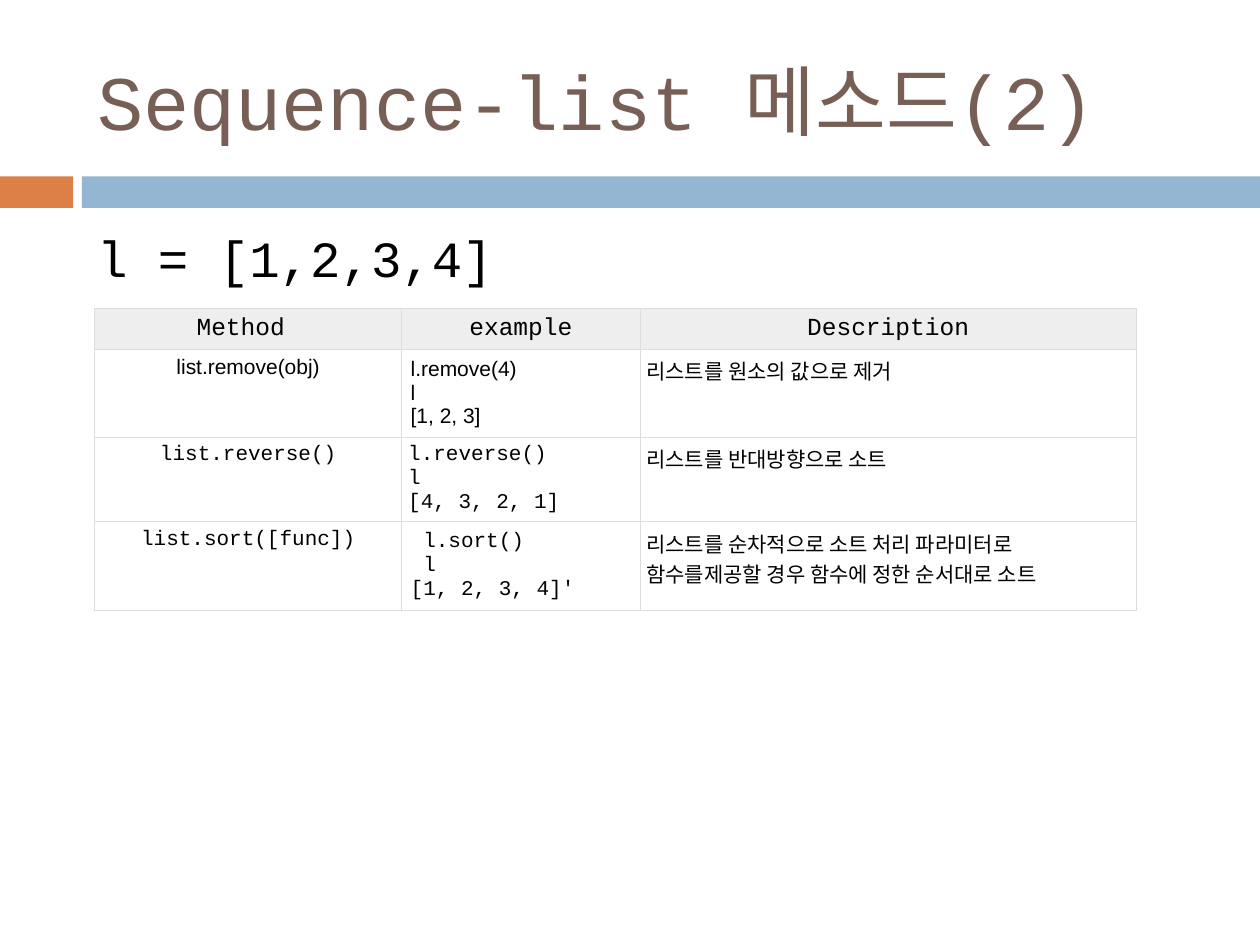
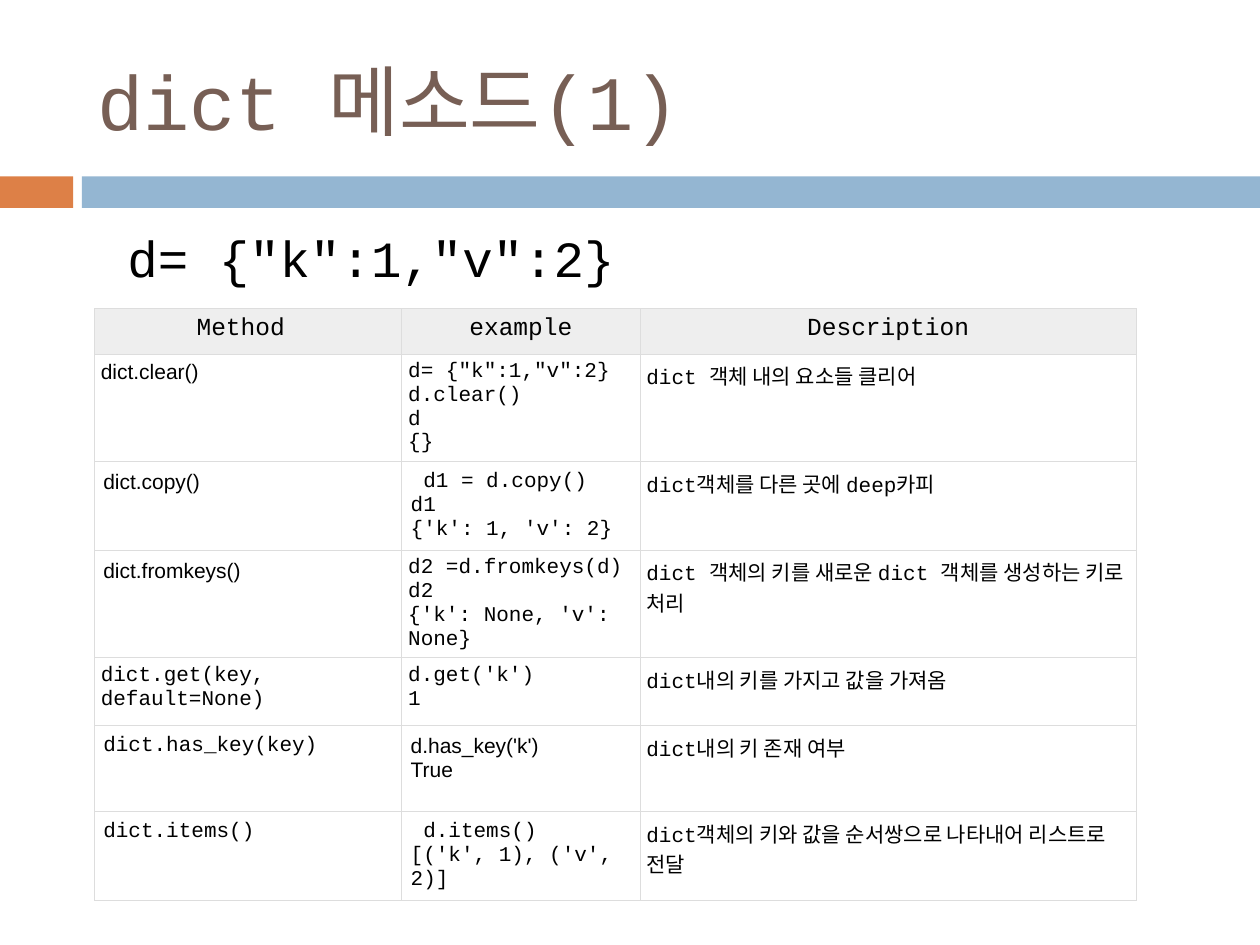
from dataclasses import dataclass

from lxml.etree import SubElement
from pptx import Presentation
from pptx.dml.color import RGBColor
from pptx.enum.shapes import MSO_SHAPE
from pptx.enum.text import MSO_ANCHOR, MSO_AUTO_SIZE, PP_ALIGN
from pptx.oxml.ns import qn
from pptx.slide import Slide
from pptx.table import _Cell
from pptx.text.text import TextFrame, _Paragraph
from pptx.util import Inches, Pt

COLORS = {
    "title": "775F55",
    "text": "000000",
    "orange": "DD8047",
    "blue": "94B6D2",
    "header": "EEEEEE",
    "border": "DDDDDD",
}
MONO, SANS = "Courier New", "Arial"
TIGHT, LOOSE = 0.05, 0.07
COL_WIDTHS = (2.44, 1.89, 3.94)
HEADINGS = ("Method ", "example", "Description")


@dataclass(frozen=True)
class Band:
    left: float
    width: float
    color: str


@dataclass(frozen=True)
class Entry:
    text: str
    font: str = MONO
    inset: float = TIGHT
    size: int = 12
    centered: bool = False


@dataclass(frozen=True)
class MethodRow:
    height: float
    method: Entry
    example: Entry
    description: str


@dataclass(frozen=True)
class MethodSlide:
    title: str
    code: str
    header_height: float
    rows: tuple[MethodRow, ...]


BANDS = (Band(0, 0.58, "orange"), Band(0.65, 9.35, "blue"))

SLIDES = (
    MethodSlide("Sequence-list 메소드(2)", "l = [1,2,3,4]", 0.32, (
        MethodRow(0.7, Entry("list.remove(obj)", SANS, centered=True),
                  Entry("l.remove(4)\nl\n[1, 2, 3]", SANS, LOOSE),
                  "리스트를 원소의 값으로 제거"),
        MethodRow(0.67, Entry("list.reverse()", centered=True),
                  Entry("l.reverse()\nl\n[4, 3, 2, 1]"),
                  "리스트를 반대방향으로 소트"),
        MethodRow(0.7, Entry("list.sort([func])", centered=True),
                  Entry(" l.sort()\n l\n[1, 2, 3, 4]'", inset=LOOSE),
                  "리스트를 순차적으로 소트 처리 파라미터로 함수를제공할 경우 함수에 정한 순서대로 소트"),
    )),
    MethodSlide("dict 메소드(1)", ' d= {"k":1,"v":2}', 0.36, (
        MethodRow(0.85, Entry("dict.clear()", SANS),
                  Entry('d= {"k":1,"v":2}\nd.clear()\nd\n{}'),
                  "dict 객체 내의 요소들 클리어"),
        MethodRow(0.7, Entry("dict.copy()", SANS, LOOSE),
                  Entry(" d1 = d.copy()\nd1\n{'k': 1, 'v': 2}", inset=LOOSE),
                  "dict객체를 다른 곳에 deep카피"),
        MethodRow(0.85, Entry("dict.fromkeys()", SANS, LOOSE),
                  Entry("d2 =d.fromkeys(d)\nd2\n{'k': None, 'v': None}"),
                  "dict 객체의 키를 새로운 dict 객체를 생성하는 키로 처리"),
        MethodRow(0.54, Entry("dict.get(key, default=None)"),
                  Entry("d.get('k')\n1"),
                  "dict내의 키를 가지고 값을 가져옴"),
        MethodRow(0.68, Entry("dict.has_key(key)", inset=LOOSE),
                  Entry("d.has_key('k')\nTrue", SANS, LOOSE),
                  "dict내의 키 존재 여부"),
        MethodRow(0.7, Entry("dict.items()", inset=LOOSE),
                  Entry(" d.items()\n[('k', 1), ('v', 2)]", inset=LOOSE),
                  "dict객체의 키와 값을 순서쌍으로 나타내어 리스트로 전달"),
    )),
)


def rgb(name: str) -> RGBColor:
    """Return a palette colour."""
    return RGBColor.from_string(COLORS[name])


def add_run(p: _Paragraph, text: str, size: int, font: str = MONO, color: str = "text") -> None:
    """Add one formatted run to a paragraph."""
    r = p.add_run()
    r.text = text
    r.font.size = Pt(size)
    r.font.name = font
    r.font.bold = False
    r.font.color.rgb = rgb(color)


def place_text(s: Slide, index: int, top: float, height: float, anchor: MSO_ANCHOR) -> TextFrame:
    """Move a placeholder and return its prepared text frame."""
    sp = s.placeholders[index]
    sp.left, sp.top = Inches(0.67), Inches(top)
    sp.width, sp.height = Inches(8.92), Inches(height)
    tf = sp.text_frame
    tf.word_wrap = True
    tf.auto_size = MSO_AUTO_SIZE.NONE
    tf.vertical_anchor = anchor
    tf.paragraphs[0].alignment = PP_ALIGN.LEFT
    return tf


def add_bands(s: Slide) -> None:
    """Draw the coloured strip below the title."""
    for band in BANDS:
        sp = s.shapes.add_shape(MSO_SHAPE.RECTANGLE, Inches(band.left), Inches(1.4),
                                Inches(band.width), Inches(0.25))
        sp.shadow.inherit = False
        sp.fill.solid()
        sp.fill.fore_color.rgb = rgb(band.color)
        sp.line.fill.background()


def add_heading(s: Slide, title: str, code: str) -> None:
    """Fill the title and the unbulleted code line."""
    tf = place_text(s, 0, 0.25, 1.08, MSO_ANCHOR.MIDDLE)
    add_run(tf.paragraphs[0], title, 44, color="title")
    p = place_text(s, 1, 1.75, 1.13, MSO_ANCHOR.TOP).paragraphs[0]
    p.space_before = Pt(0)
    pPr = p._p.get_or_add_pPr()
    pPr.set("marL", "0")
    pPr.set("indent", "0")
    SubElement(pPr, qn("a:buNone"))
    add_run(p, code, 29)


def add_borders(cell: _Cell) -> None:
    """Put a thin grey line on all four sides of a cell."""
    tcPr = cell._tc.get_or_add_tcPr()
    for i, side in enumerate(("lnL", "lnR", "lnT", "lnB")):
        ln = SubElement(tcPr, qn(f"a:{side}"), w=str(Pt(0.6)))
        fill = SubElement(ln, qn("a:solidFill"))
        SubElement(fill, qn("a:srgbClr"), val=COLORS["border"])
        tcPr.remove(ln)
        tcPr.insert(i, ln)


def fill_cell(cell: _Cell, entry: Entry, header: bool) -> None:
    """Write and format one table cell."""
    inset = Inches(entry.inset)
    cell.margin_left = cell.margin_right = inset
    cell.margin_top = cell.margin_bottom = inset
    cell.vertical_anchor = MSO_ANCHOR.TOP
    if header:
        cell.fill.solid()
        cell.fill.fore_color.rgb = rgb("header")
    else:
        cell.fill.background()
    add_borders(cell)
    tf = cell.text_frame
    for i, line in enumerate(entry.text.split("\n")):
        p = tf.add_paragraph() if i else tf.paragraphs[0]
        p.alignment = PP_ALIGN.CENTER if entry.centered else PP_ALIGN.LEFT
        add_run(p, line, entry.size, entry.font)


def add_methods(s: Slide, content: MethodSlide) -> None:
    """Add the table of methods."""
    heights = [content.header_height] + [row.height for row in content.rows]
    lines = [[Entry(text, size=14, centered=True) for text in HEADINGS]]
    lines += [[row.method, row.example, Entry(row.description)] for row in content.rows]
    table = s.shapes.add_table(len(lines), len(COL_WIDTHS), Inches(0.75), Inches(2.45),
                               Inches(sum(COL_WIDTHS)), Inches(sum(heights))).table
    table.first_row = table.horz_banding = False
    for column, width in zip(table.columns, COL_WIDTHS):
        column.width = Inches(width)
    for i, (height, entries) in enumerate(zip(heights, lines)):
        table.rows[i].height = Inches(height)
        for j, entry in enumerate(entries):
            fill_cell(table.cell(i, j), entry, header=i == 0)


def main() -> None:
    """Build and save the presentation."""
    prs = Presentation()
    prs.slide_width, prs.slide_height = Inches(10), Inches(7.5)
    for content in SLIDES:
        s = prs.slides.add_slide(prs.slide_layouts[1])
        add_bands(s)
        add_heading(s, content.title, content.code)
        add_methods(s, content)
    prs.save("out.pptx")


if __name__ == "__main__":
    main()
